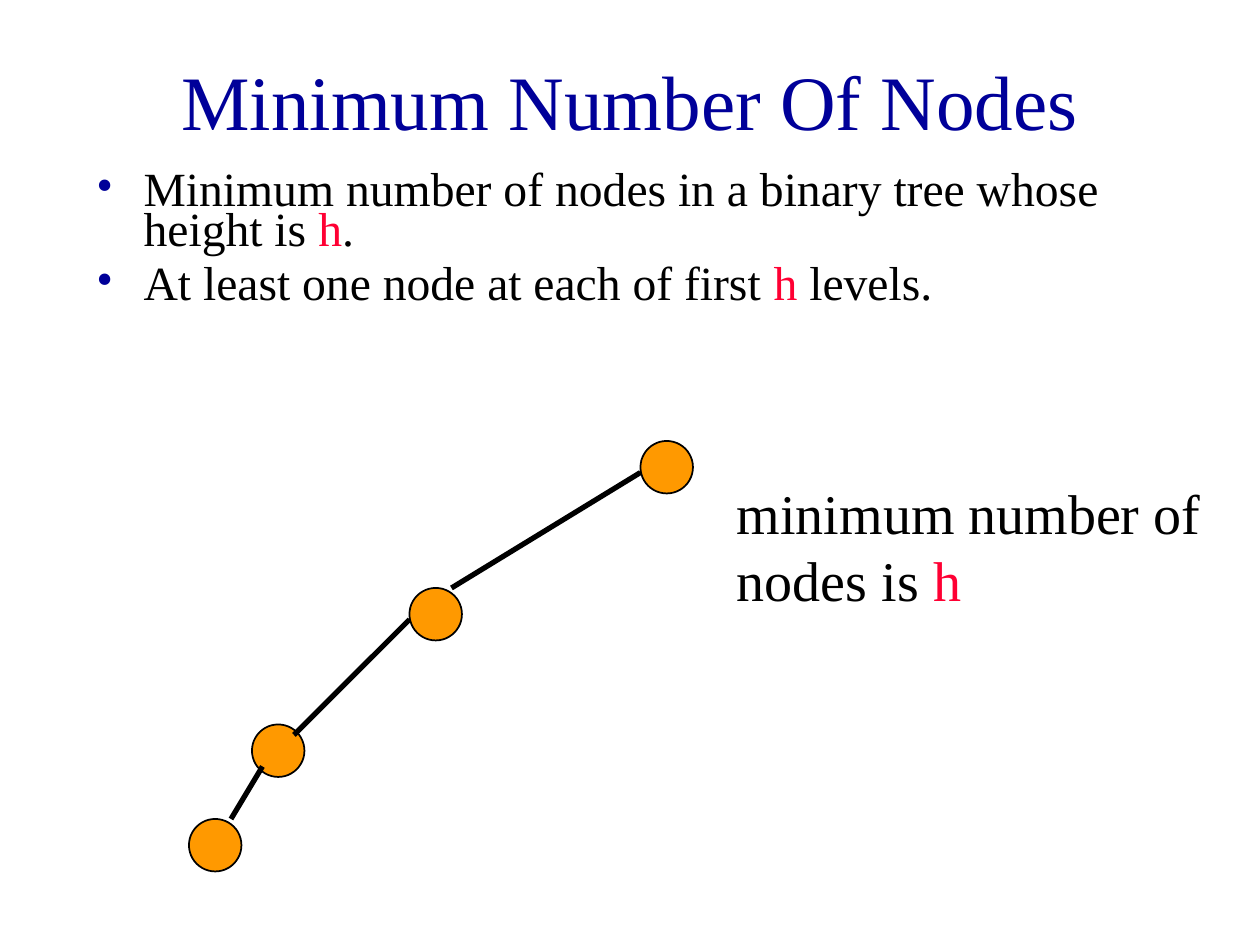
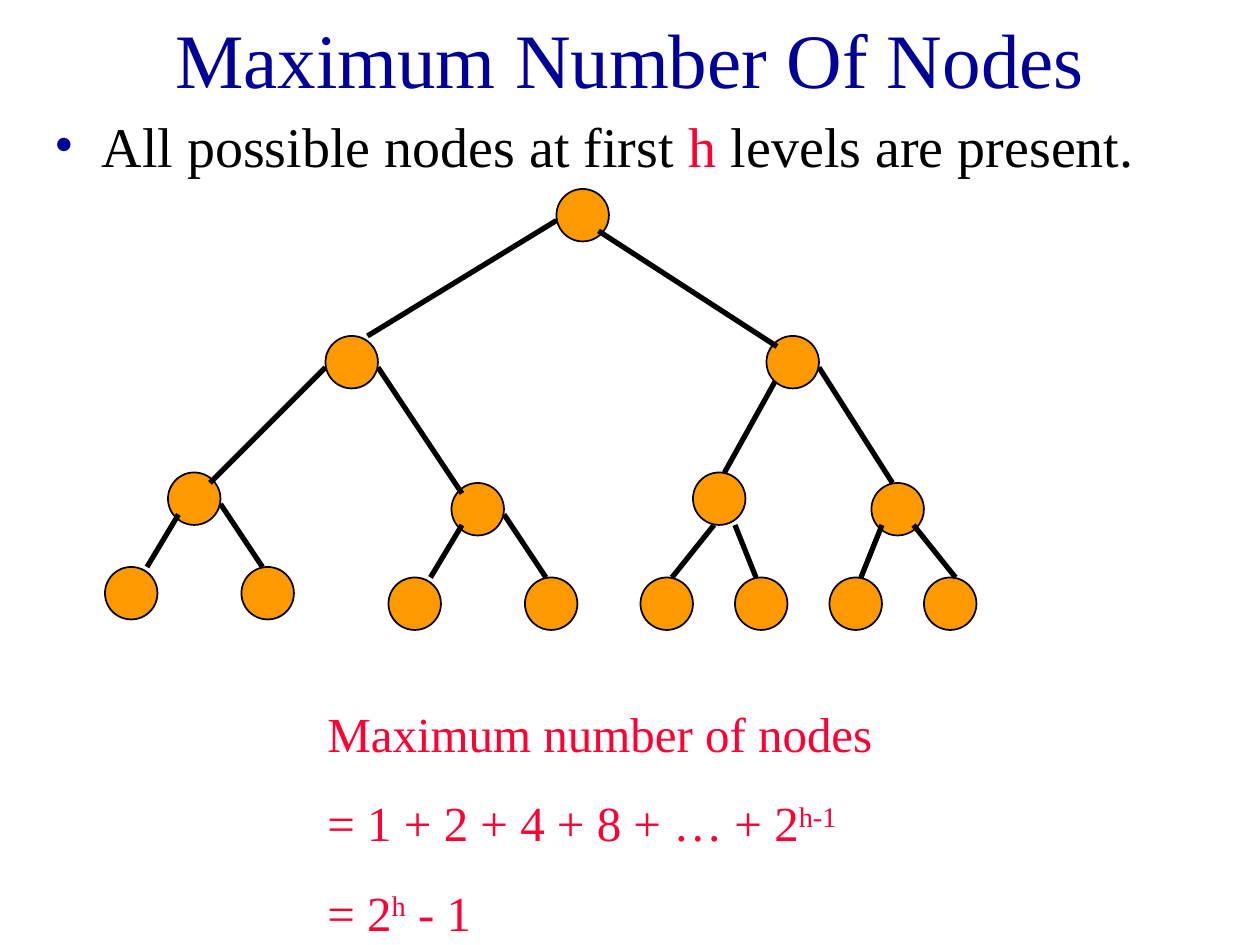
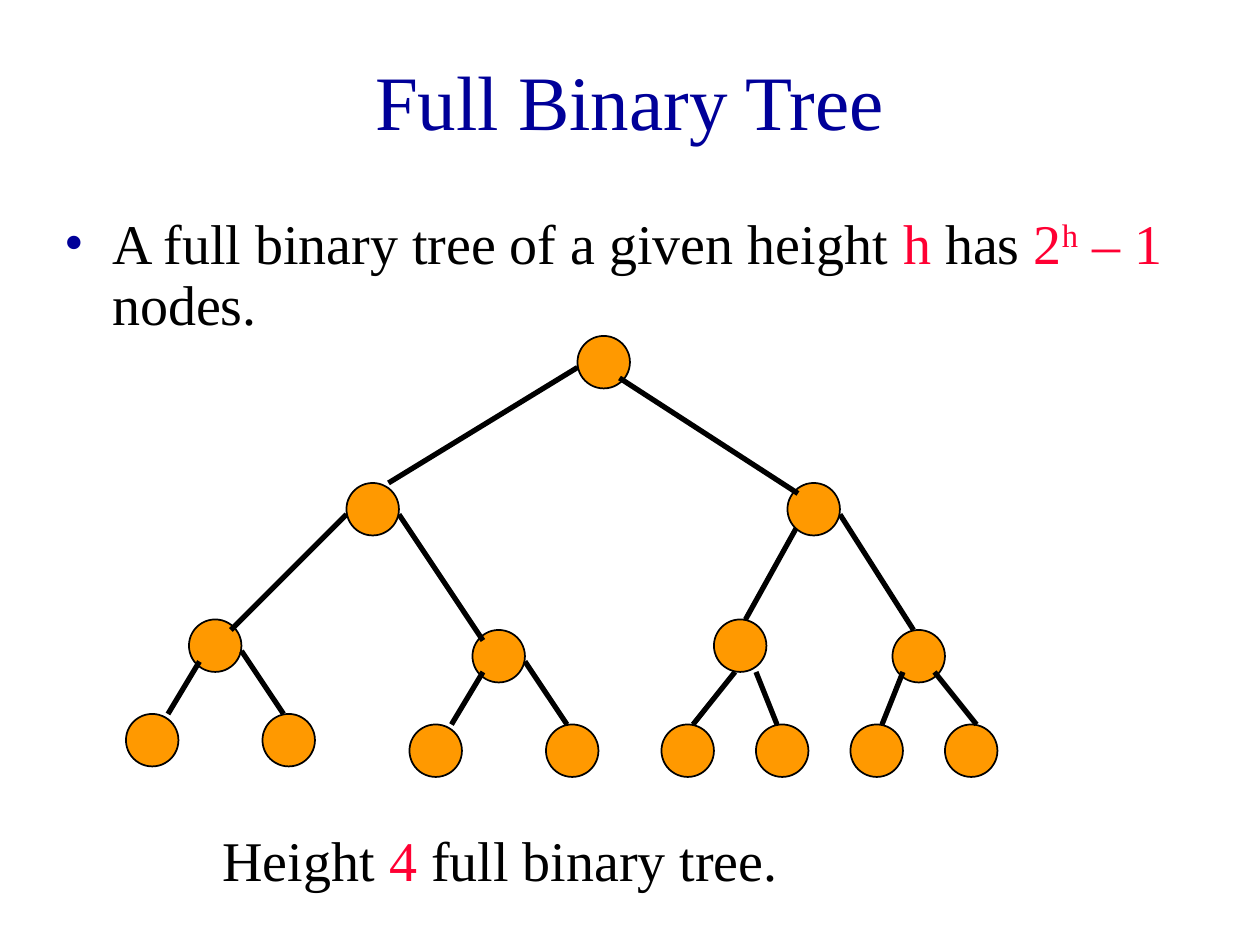
from lxml import etree
from pptx import Presentation
from pptx.dml.color import RGBColor
from pptx.enum import shapes, text
from pptx.oxml import ns
from pptx.util import Pt

PX = 7620
NAVY = RGBColor(0x00, 0x00, 0x99)
BLACK = RGBColor(0x00, 0x00, 0x00)
RED = RGBColor(0xFF, 0x00, 0x33)
ORANGE = RGBColor(0xFF, 0x99, 0x00)
FONT = "Times New Roman"
NODE = 50
INDENT = 45

ROOT = [(0, 0)]
CHILDREN = [(-220, 140), (200, 140)]
GRANDCHILDREN = [(-370, 270), (-100, 280), (130, 270), (300, 280)]
LEAVES = [(-430, 360), (-300, 360), (-160, 370), (-30, 370)]
LEAVES += [(x, 370) for x in range(80, 351, 90)]
ROOT_BRANCHES = [(0, 30, -180, 140), (40, 40, 210, 150)]
CHILD_BRANCHES = [(-220, 170, -330, 280), (-170, 170, -90, 290),
                  (210, 180, 160, 270), (250, 170, 320, 280)]
LEAF_BRANCHES = [(-360, 310, -390, 360), (-320, 300, -280, 360),
                 (-90, 320, -120, 370), (-50, 310, -10, 370),
                 (150, 320, 110, 370), (170, 320, 190, 370),
                 (310, 320, 290, 370), (340, 320, 380, 370)]
LEVELS = [(ROOT, []), (GRANDCHILDREN, CHILD_BRANCHES),
          (CHILDREN, ROOT_BRANCHES), (LEAVES, LEAF_BRANCHES)]

LESSONS = [
    dict(
        title="Minimum Number Of Nodes", title_box=(90, 20, 1020, 150),
        points=[
            [("Minimum number of nodes in a binary tree whose height is ", BLACK),
             ("h", RED), (".", BLACK)],
            [("At least one node at each of first ", BLACK), ("h", RED),
             (" levels.", BLACK)],
        ],
        points_box=(80, 160, 1020, 140), points_size=27.2, line_spacing=0.7,
        root=(610, 420), nodes_per_level=1,
        result=[[("minimum number of nodes is", BLACK), (" h", RED)]],
        result_box=(690, 450, 470, 140), result_size=32, result_gap=20,
    ),
    dict(
        title="Maximum Number Of Nodes", title_box=(90, 0, 1020, 110),
        points=[[("All possible nodes at first ", BLACK), ("h", RED),
                 (" levels are present.", BLACK)]],
        points_box=(40, 100, 1120, 140), points_size=32, line_spacing=1.0,
        root=(530, 180), nodes_per_level=8,
        result=[
            [("Maximum number of nodes", RED)],
            [("= 1 + 2 + 4 + 8 + … + 2", RED), ("h-1", RED, 30)],
            [("= 2", RED), ("h", RED, 30), (" - 1", RED)],
        ],
        result_box=(300, 664, 580, 239), result_size=28, result_gap=17.5,
    ),
    dict(
        title="Full Binary Tree", title_box=(90, 20, 1020, 150),
        points=[[("A full binary tree of a given height ", BLACK), ("h", RED),
                 (" has ", BLACK), ("2", RED), ("h", RED, 30), (" – 1 ", RED),
                 ("nodes.", BLACK)]],
        points_box=(50, 200, 1090, 130), points_size=32, line_spacing=0.9,
        root=(550, 320), nodes_per_level=8,
        result=[[("Height ", BLACK), ("4", RED), (" full binary tree.", BLACK)]],
        result_box=(200, 780, 860, 77), result_size=32, result_gap=20,
    ),
]


def write_text(slide, box, lines, size, gap=0, line_spacing=1.0, bullet=False):
    frame = slide.shapes.add_textbox(*[n * PX for n in box]).text_frame
    frame.word_wrap = True
    for number, line in enumerate(lines):
        paragraph = frame.add_paragraph() if number else frame.paragraphs[0]
        paragraph.space_before = Pt(gap)
        paragraph.line_spacing = line_spacing
        if bullet:
            props = paragraph._p.get_or_add_pPr()
            props.set("marL", str(INDENT * PX))
            props.set("indent", str(-INDENT * PX))
            colour = etree.SubElement(props, ns.qn("a:buClr"))
            etree.SubElement(colour, ns.qn("a:srgbClr"), val=str(NAVY))
            etree.SubElement(props, ns.qn("a:buFont"), typeface=FONT)
            etree.SubElement(props, ns.qn("a:buChar"), char="•")
        for words, colour, *raised in line:
            run = paragraph.add_run()
            run.text = words
            run.font.name = FONT
            run.font.size = Pt(size)
            run.font.color.rgb = colour
            if raised:
                run._r.get_or_add_rPr().set("baseline", str(raised[0] * 1000))
    return frame


def draw_tree(slide, root, nodes_per_level):
    left, top = root
    for nodes, branches in LEVELS:
        for x, y in nodes[:nodes_per_level]:
            node = slide.shapes.add_shape(
                shapes.MSO_SHAPE.OVAL, (left + x) * PX, (top + y) * PX,
                NODE * PX, NODE * PX)
            node.shadow.inherit = False
            node.fill.solid()
            node.fill.fore_color.rgb = ORANGE
            node.line.color.rgb = BLACK
            node.line.width = Pt(1)
        for x1, y1, x2, y2 in branches[:nodes_per_level]:
            branch = slide.shapes.add_connector(
                shapes.MSO_CONNECTOR.STRAIGHT, (left + x1) * PX, (top + y1) * PX,
                (left + x2) * PX, (top + y2) * PX)
            branch.line.color.rgb = BLACK
            branch.line.width = Pt(3)
            etree.SubElement(branch._element.spPr, ns.qn("a:effectLst"))


deck = Presentation()
deck.slide_width = 1200 * PX
deck.slide_height = 900 * PX

for lesson in LESSONS:
    slide = deck.slides.add_slide(deck.slide_layouts[6])
    heading = write_text(slide, lesson["title_box"], [[(lesson["title"], NAVY)]], 44)
    heading.vertical_anchor = text.MSO_ANCHOR.MIDDLE
    heading.paragraphs[0].alignment = text.PP_ALIGN.CENTER
    write_text(slide, lesson["points_box"], lesson["points"], lesson["points_size"],
               gap=8, line_spacing=lesson["line_spacing"], bullet=True)
    draw_tree(slide, lesson["root"], lesson["nodes_per_level"])
    write_text(slide, lesson["result_box"], lesson["result"], lesson["result_size"],
               gap=lesson["result_gap"])

deck.save("out.pptx")
